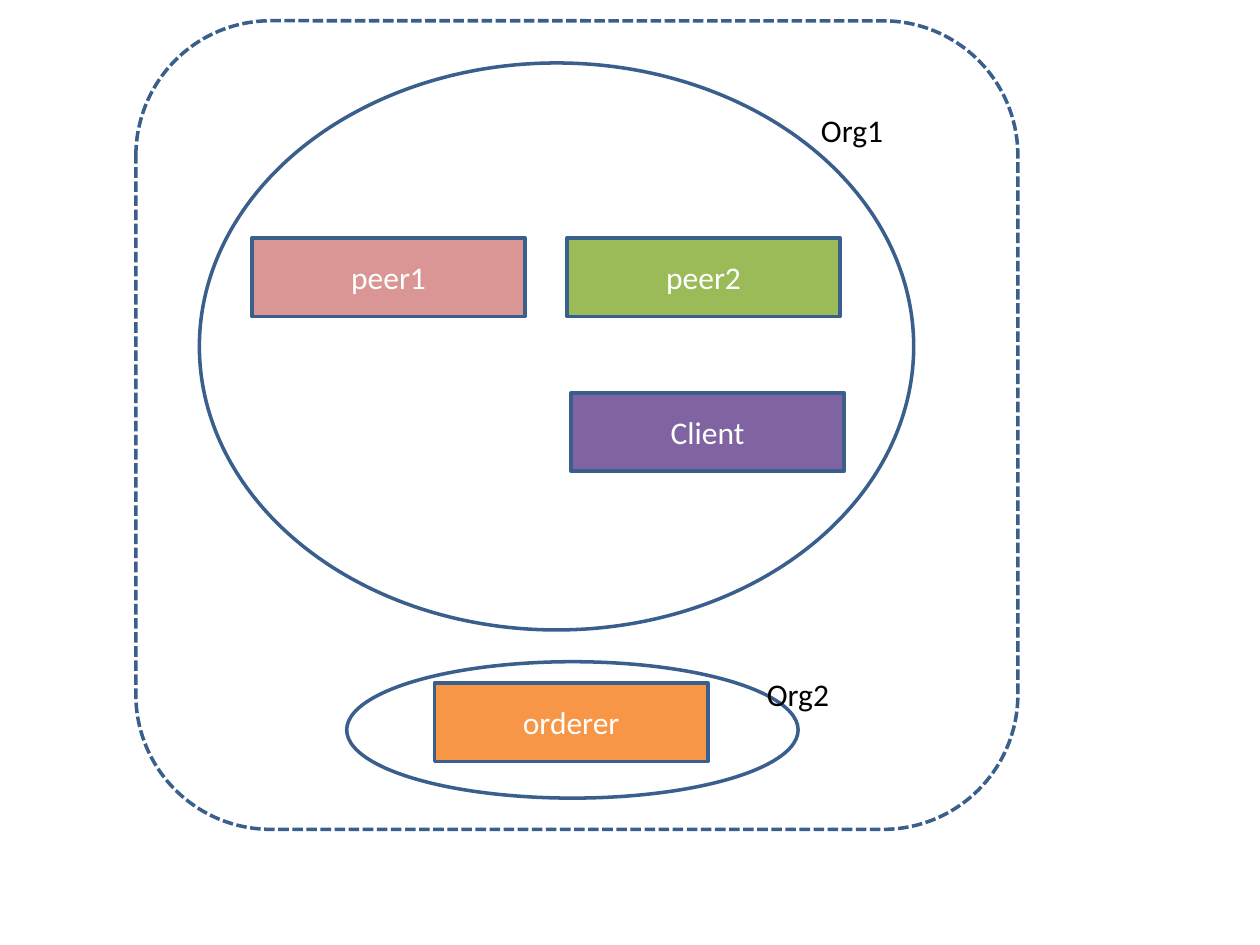
"""Build a slide showing a two-organisation network with peers, client and orderer."""
from pptx import Presentation
from pptx import util as u
from pptx.dml.color import RGBColor
from pptx.enum import dml, shapes, text

OUTLINE = RGBColor(0x3A, 0x5F, 0x8C)
ROSE = RGBColor(0xD9, 0x96, 0x94)
GREEN = RGBColor(0x9B, 0xBB, 0x59)
ORANGE = RGBColor(0xF7, 0x96, 0x46)
PURPLE = RGBColor(0x80, 0x64, 0xA2)
WHITE = RGBColor(0xFF, 0xFF, 0xFF)
BLACK = RGBColor(0, 0, 0)

NODE_WIDTH, NODE_HEIGHT = 5.51, 1.58


def add_outlined(kind, left, top, width, height):
    outlined = slide.shapes.add_shape(kind, u.Cm(left), u.Cm(top), u.Cm(width), u.Cm(height))
    outlined.shadow.inherit = False
    outlined.fill.background()
    outlined.line.color.rgb = OUTLINE
    outlined.line.width = u.Pt(2)
    return outlined


def add_label(paragraph, wording, color):
    run = paragraph.add_run()
    run.text = wording
    run.font.name = "Calibri"
    run.font.size = u.Pt(18)
    run.font.color.rgb = color


deck = Presentation()
deck.slide_width, deck.slide_height = u.Cm(25.4), u.Cm(19.05)
slide = deck.slides.add_slide(deck.slide_layouts[6])

for name, left, top, color in [
    ("peer1", 5.08, 4.8, ROSE),
    ("peer2", 11.43, 4.8, GREEN),
    ("orderer", 8.76, 13.77, ORANGE),
    ("Client", 11.51, 7.92, PURPLE),
]:
    node = add_outlined(shapes.MSO_SHAPE.RECTANGLE, left, top, NODE_WIDTH, NODE_HEIGHT)
    node.fill.solid()
    node.fill.fore_color.rgb = color
    node.text_frame.vertical_anchor = text.MSO_ANCHOR.MIDDLE
    caption = node.text_frame.paragraphs[0]
    caption.alignment = text.PP_ALIGN.CENTER
    add_label(caption, name, WHITE)

network = add_outlined(shapes.MSO_SHAPE.ROUNDED_RECTANGLE, 2.74, 0.42, 17.78, 16.3)
network.line.dash_style = dml.MSO_LINE.SQUARE_DOT

for left, top, width, height in [(4.02, 1.27, 14.4, 11.43), (6.99, 13.34, 9.1, 2.75)]:
    add_outlined(shapes.MSO_SHAPE.OVAL, left, top, width, height)

for name, left, top in [("Org1", 16.3, 2.12), ("Org2", 15.21, 13.49)]:
    organisation = slide.shapes.add_textbox(u.Cm(left), u.Cm(top), u.Cm(3.6), u.Cm(1.06))
    organisation.text_frame.word_wrap = True
    organisation.text_frame.auto_size = text.MSO_AUTO_SIZE.SHAPE_TO_FIT_TEXT
    add_label(organisation.text_frame.paragraphs[0], name, BLACK)

deck.save("out.pptx")
